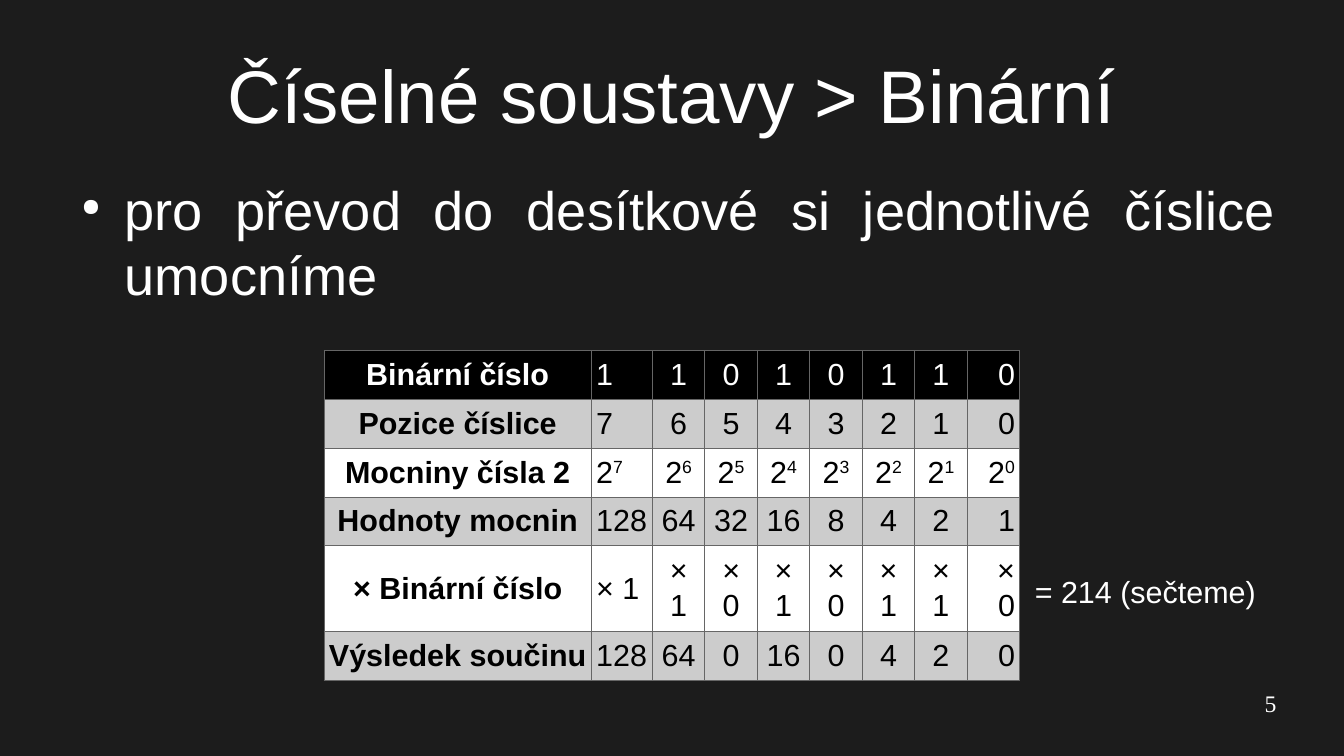
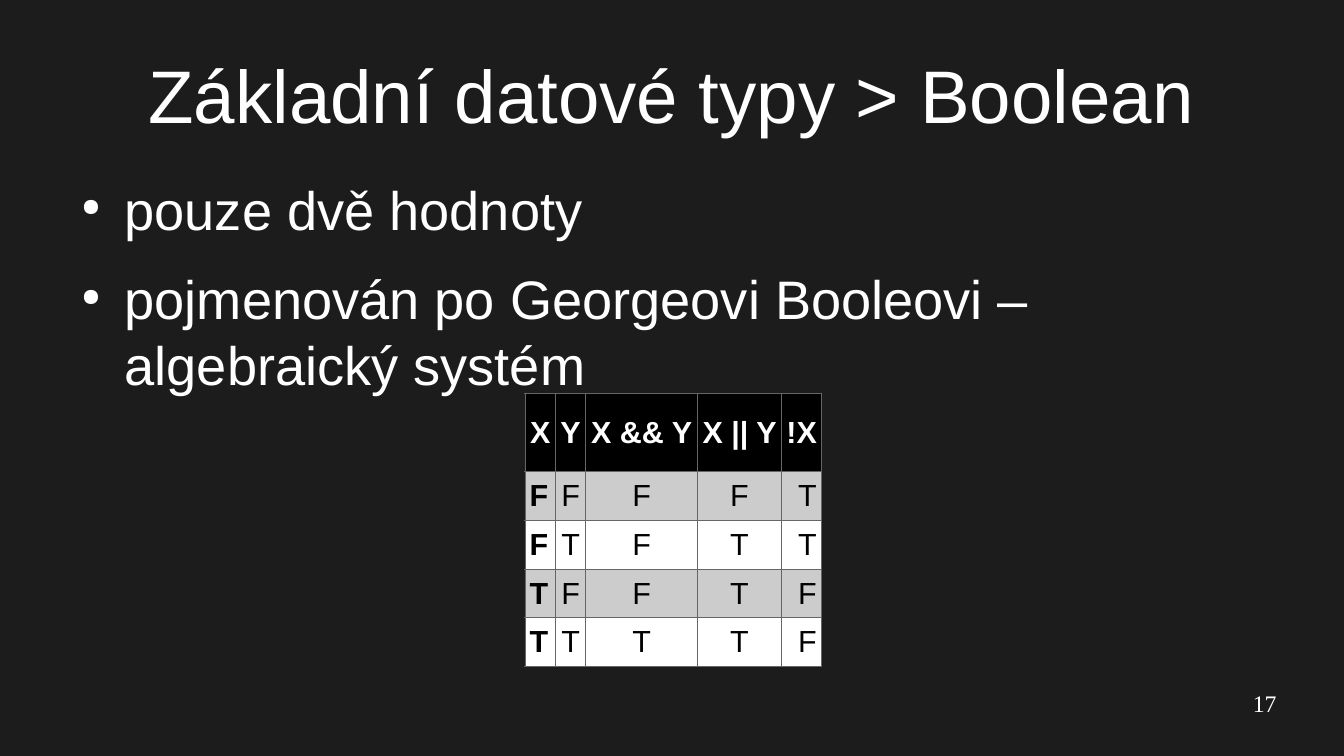
"""Build two dark slides on binary numbers and Boolean values."""
import pptx
import pptx.dml.color
import pptx.enum.text
import pptx.oxml.ns
import pptx.util
from lxml import etree

Pt = pptx.util.Pt
RGBColor = pptx.dml.color.RGBColor
ALIGN = pptx.enum.text.PP_ALIGN
ANCHOR = pptx.enum.text.MSO_ANCHOR

DARK = RGBColor(0x1C, 0x1C, 0x1C)
WHITE = RGBColor(0xFF, 0xFF, 0xFF)
BLACK = RGBColor(0x00, 0x00, 0x00)
BAND = RGBColor(0xCC, 0xCC, 0xCC)
BORDER = RGBColor(0x66, 0x66, 0x66)

ALIGNMENTS = {"l": ALIGN.LEFT, "c": ALIGN.CENTER, "r": ALIGN.RIGHT, "j": ALIGN.JUSTIFY}
TITLE_FONT = {"name": "Arial", "size": Pt(44)}
BODY_FONT = {"name": "Arial", "size": Pt(32)}
SMALL_FONT = {"name": "Arial", "size": Pt(18)}
NUMBER_FONT = {"name": "Times New Roman", "size": Pt(14)}
NO_MARGINS = dict.fromkeys(("margin_left", "margin_top", "margin_right", "margin_bottom"), 0)
CELL_FORMAT = {
    "margin_left": Pt(2.83),
    "margin_right": Pt(2.83),
    "margin_top": Pt(3.6),
    "margin_bottom": Pt(3.6),
    "vertical_anchor": ANCHOR.MIDDLE,
}

BINARY_ROWS = [
    ["Binární číslo", *"11010110"],
    ["Pozice číslice", *"76543210"],
    ["Mocniny čísla 2", *(f"2^{power}" for power in range(7, -1, -1))],
    ["Hodnoty mocnin", *(str(2**power) for power in range(7, -1, -1))],
    ["× Binární číslo", *(f"× {digit}" for digit in "11010110")],
    ["Výsledek součinu", "128", "64", "0", "16", "0", "4", "2", "0"],
]
BOOLEAN_ROWS = [["X", "Y", "X && Y", "X || Y", "!X"], "FFFFT", "FTFTT", "TFFTF", "TTTTF"]


def set_formats(target, formats):
    """Set each named attribute on the target."""
    for name, value in formats.items():
        setattr(target, name, value)


def add_span(para, text, font, colour):
    """Append a formatted run to a paragraph."""
    span = para.add_run()
    span.text = text
    set_formats(span.font, font)
    span.font.color.rgb = colour
    return span


def add_text(page, place, text, font, align="l", **formats):
    """Add a one-paragraph white text box."""
    box = page.shapes.add_textbox(*map(Pt, place))
    set_formats(box.text_frame, {"word_wrap": True, **formats})
    para = box.text_frame.paragraphs[0]
    para.alignment = ALIGNMENTS[align]
    add_span(para, text, font, WHITE)


def add_element(parent, tag, **attributes):
    """Append a drawing element to an XML parent."""
    element = etree.SubElement(parent, pptx.oxml.ns.qn(tag))
    for name, value in attributes.items():
        element.set(name, str(value))
    return element


def add_bullets(page, items, align="l"):
    """Add the body box with one bullet per item."""
    box = page.shapes.add_textbox(Pt(39.6), Pt(104.4), Pt(714.3), Pt(259.2))
    frame = box.text_frame
    set_formats(frame, {"word_wrap": True, **NO_MARGINS})
    for index, item in enumerate(items):
        para = frame.add_paragraph() if index else frame.paragraphs[0]
        properties = para._p.get_or_add_pPr()
        properties.set("marL", str(Pt(34)))
        properties.set("indent", str(Pt(-25.5)))
        colour = add_element(properties, "a:buClr")
        add_element(colour, "a:srgbClr", val=WHITE)
        add_element(properties, "a:buSzPct", val=45000)
        add_element(properties, "a:buChar", char="●")
        formats = {"alignment": ALIGNMENTS[align], "space_before": Pt(14.2 if index else 0)}
        set_formats(para, formats)
        add_span(para, item, BODY_FONT, WHITE)


def add_borders(cell):
    """Draw thin grey lines on all four sides of a cell."""
    properties = cell._tc.get_or_add_tcPr()
    for side in ("a:lnL", "a:lnR", "a:lnT", "a:lnB"):
        line = add_element(properties, side, w=Pt(0.57))
        fill = add_element(line, "a:solidFill")
        add_element(fill, "a:srgbClr", val=BORDER)


def fill_cell(cell, text, align, bold, fill, colour):
    """Format a cell and write its text, raising what follows a caret."""
    set_formats(cell, CELL_FORMAT)
    add_borders(cell)
    cell.fill.solid()
    cell.fill.fore_color.rgb = fill
    para = cell.text_frame.paragraphs[0]
    para.alignment = ALIGNMENTS[align]
    base, _, power = text.partition("^")
    font = {**SMALL_FONT, "bold": bold}
    add_span(para, base, font, colour)
    if power:
        span = add_span(para, power, font, colour)
        span._r.get_or_add_rPr().set("baseline", "33000")


def add_grid(page, left, top, widths, heights, rows, header_align, body_align, bold_header):
    """Add a table with a black header, grey bands and a bold first column."""
    place = map(Pt, (left, top, sum(widths), sum(heights)))
    table = page.shapes.add_table(len(rows), len(widths), *place).table
    set_formats(table, {"first_row": False, "horz_banding": False})
    for column, width in zip(table.columns, widths):
        column.width = Pt(width)
    for row, height in zip(table.rows, heights):
        row.height = Pt(height)
    for r, texts in enumerate(rows):
        header = r == 0
        fill = BLACK if header else (BAND if r % 2 else WHITE)
        aligns = header_align if header else body_align
        for c, (text, align) in enumerate(zip(texts, aligns)):
            bold = c == 0 or (header and bold_header)
            fill_cell(table.cell(r, c), text, align, bold, fill, WHITE if header else BLACK)


def add_page(deck, title, number):
    """Add a slide with its title and page number."""
    page = deck.slides.add_slide(deck.slide_layouts[6])
    add_text(page, (39.6, 18, 714.3, 74.9), title, TITLE_FONT, "c",
             vertical_anchor=ANCHOR.MIDDLE, **NO_MARGINS)
    add_text(page, (568.8, 406.8, 185.1, 31), number, NUMBER_FONT, "r", **NO_MARGINS)
    return page


def main():
    """Build and save the deck."""
    deck = pptx.Presentation()
    set_formats(deck, {"slide_width": Pt(793.7), "slide_height": Pt(446.5)})
    background = deck.slide_master.background.fill
    background.solid()
    background.fore_color.rgb = DARK

    binary = add_page(deck, "Číselné soustavy > Binární", "5")
    add_bullets(binary, ["pro převod do desítkové si jednotlivé číslice umocníme"], "j")
    add_grid(binary, 191.3, 207, [158, 36] + [31] * 7, [26] * 4 + [46, 26],
             BINARY_ROWS, "clccccccr", "clccccccr", False)
    add_text(binary, (604, 334.8, 144.7, 27.4), "= 214 (sečteme)", SMALL_FONT, word_wrap=False)

    boolean = add_page(deck, "Základní datové typy > Boolean", "17")
    add_bullets(boolean, ["pouze dvě hodnoty",
                          "pojmenován po Georgeovi Booleovi – algebraický systém"])
    add_grid(boolean, 310, 232.5, [18, 18, 66, 49.5, 23.7], [46] + [26] * 4,
             BOOLEAN_ROWS, "cccrr", "lcccr", True)

    deck.save("out.pptx")


if __name__ == "__main__":
    main()
